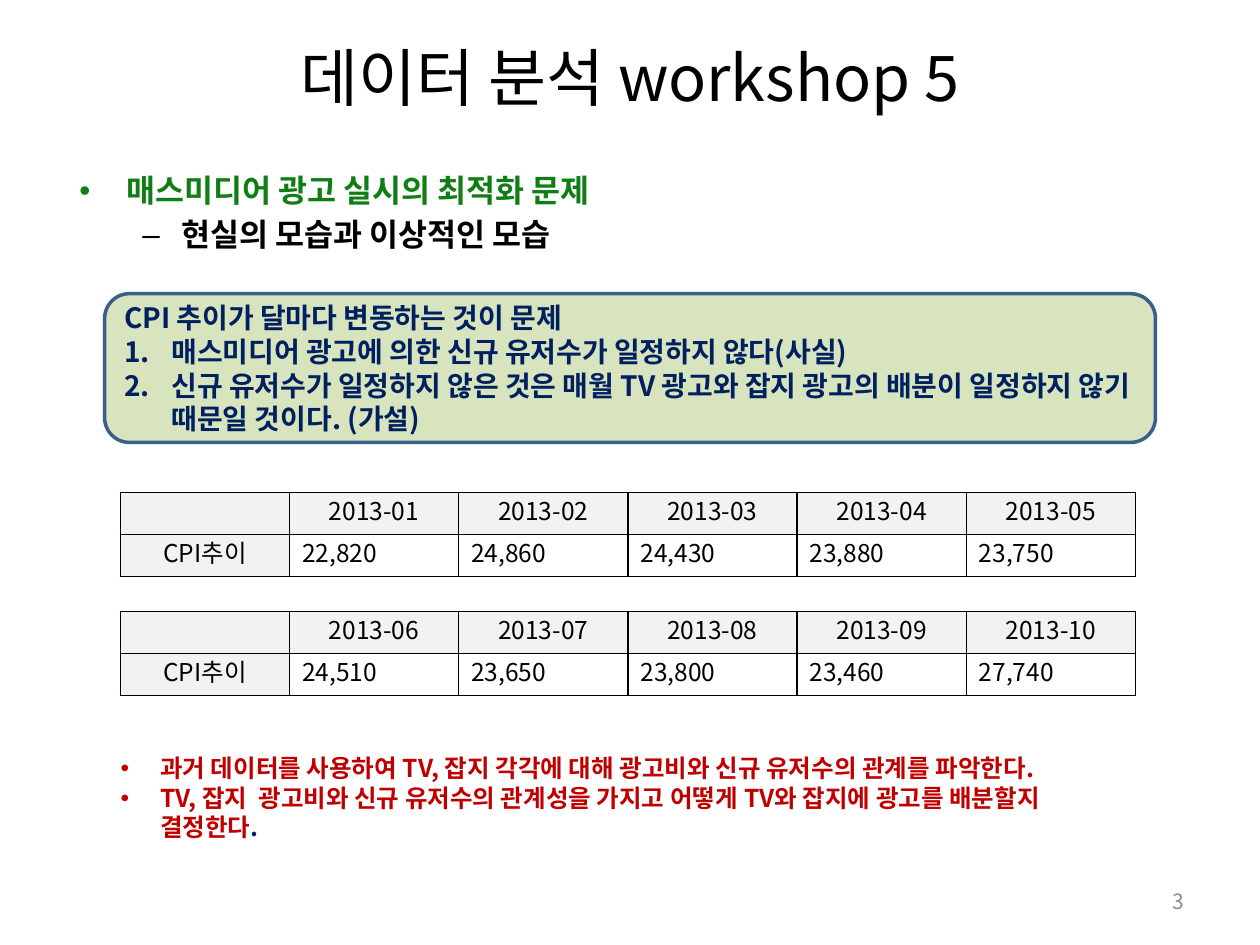
from pptx import Presentation
from pptx.dml.color import RGBColor
from pptx.enum.shapes import MSO_SHAPE
from pptx.enum.text import MSO_ANCHOR, PP_ALIGN
from pptx.oxml.xmlchemy import OxmlElement
from pptx.util import Pt

LEFT, CENTER, RIGHT = PP_ALIGN.LEFT, PP_ALIGN.CENTER, PP_ALIGN.RIGHT
MIDDLE, TOP = MSO_ANCHOR.MIDDLE, MSO_ANCHOR.TOP
FONT = "Noto Sans CJK KR"
HEX = {"black": "000000", "navy": "002060", "green": "107E15", "red": "C00000",
       "gray": "8C8C8C", "box": "D7E4BD", "edge": "3A5F8C", "head": "F2F2F2",
       "white": "FFFFFF"}

# Content: each paragraph is (runs, bullet, left indent, hang, level)
TITLE = "데이터 분석 workshop 5"
TOPIC = [
    ([("매스미디어 광고 실시의 최적화 문제", "green")], "•", 27, 27, 0),
    ([("현실의 모습과 이상적인 모습", "black")], "–", 58.5, 22.5, 1),
]
ISSUE = [
    ([("CPI 추이가 달마다 변동하는 것이 문제", "navy")], None, 0, 0, 0),
    ([("매스미디어 광고에 의한 신규 유저수가 일정하지 않다(사실)", "navy")],
     "1.", 27, 27, 0),
    ([("신규 유저수가 일정하지 않은 것은 매월 TV 광고와 잡지 광고의 배분이 "
       "일정하지 않기 때문일 것이다. (가설)", "navy")], "1.", 27, 27, 0),
]
PLAN = [
    ([("과거 데이터를 사용하여 TV, 잡지 각각에 대해 광고비와 신규 유저수의 "
       "관계를 파악한다.", "red")], "•", 22.5, 22.5, 0),
    ([("TV, 잡지  광고비와 신규 유저수의 관계성을 가지고 어떻게 TV와 잡지에 "
       "광고를 배분할지 결정한다", "red"), (".", "navy")], "•", 22.5, 22.5, 0),
]
PAGE = [([("3", "gray")], None, 0, 0, 0)]
CPI = [("22,820", "24,860", "24,430", "23,880", "23,750"),
       ("24,510", "23,650", "23,800", "23,460", "27,740")]


def color(name):
    return RGBColor.from_string(HEX[name])


def child(node, tag, **attrs):
    item = OxmlElement(tag)
    for key, val in attrs.items():
        item.set(key, str(val))
    node.append(item)
    return item


def add_run(para, text, size, tint, bold=False):
    run = para.add_run()
    run.text = text
    font = run.font
    font.name, font.size, font.bold = FONT, Pt(size), bold
    font.color.rgb = color(tint)
    child(font._element, "a:ea", typeface=FONT)


def write(frame, paras, size, bold=False, align=LEFT, anchor=TOP, gap=0):
    frame.word_wrap = True
    frame.vertical_anchor = anchor
    for i, (runs, mark, left, hang, level) in enumerate(paras):
        para = frame.add_paragraph() if i else frame.paragraphs[0]
        para.alignment, para.level = align, level
        para.line_spacing, para.space_before = Pt(size * 1.2), Pt(gap)
        if mark:
            props = para._p.get_or_add_pPr()
            props.set("marL", str(Pt(left)))
            props.set("indent", str(-Pt(hang)))
            if mark == "1.":
                child(props, "a:buFont", typeface="+mj-lt")
                child(props, "a:buAutoNum", type="arabicPeriod")
            else:
                child(props, "a:buFont", typeface="Arial")
                child(props, "a:buChar", char=mark)
        for text, tint in runs:
            add_run(para, text, size, tint, bold)


def add_text(x, y, w, h, paras, size, **style):
    box = slide.shapes.add_textbox(Pt(x), Pt(y), Pt(w), Pt(h))
    write(box.text_frame, paras, size, **style)


def add_edges(cell):
    props = cell._tc.get_or_add_tcPr()
    for i, side in enumerate(("a:lnL", "a:lnR", "a:lnT", "a:lnB")):
        line = OxmlElement(side)
        line.set("w", str(Pt(1)))
        child(child(line, "a:solidFill"), "a:srgbClr", val=HEX["black"])
        props.insert(i, line)


def add_grid(y, rows):
    grid = slide.shapes.add_table(2, 6, Pt(68.7), Pt(y), Pt(580.2), Pt(48)).table
    for col in grid.columns:
        col.width = Pt(96.7)
    for r, row in enumerate(rows):
        grid.rows[r].height = Pt(24)
        for c, text in enumerate(row):
            cell = grid.cell(r, c)
            head = r == 0 or c == 0
            cell.fill.solid()
            cell.fill.fore_color.rgb = color("head" if head else "white")
            cell.vertical_anchor = MIDDLE
            para = cell.text_frame.paragraphs[0]
            para.alignment = CENTER if head else LEFT
            para.line_spacing = Pt(16.8)
            if text:
                add_run(para, text, 14, "black")
            else:
                child(para._p, "a:endParaRPr", sz=1400)
            add_edges(cell)


deck = Presentation()
deck.slide_width, deck.slide_height = Pt(720), Pt(540)
slide = deck.slides.add_slide(deck.slide_layouts[5])

# Title
title = slide.shapes.title
title.left, title.top, title.width, title.height = Pt(36), Pt(21.6), Pt(648), Pt(44)
write(title.text_frame, [([(TITLE, "black")], None, 0, 0, 0)], 36,
      align=CENTER, anchor=MIDDLE)

# Problem box
box = slide.shapes.add_shape(MSO_SHAPE.ROUNDED_RECTANGLE,
                             Pt(59.8), Pt(167.8), Pt(600.5), Pt(85))
box.shadow.inherit = False
box.fill.solid()
box.fill.fore_color.rgb = color("box")
box.line.color.rgb = color("edge")
box.line.width = Pt(2)
write(box.text_frame, ISSUE, 16, bold=True, anchor=MIDDLE)

# Text blocks
add_text(38.2, 94.3, 613.4, 51, TOPIC, 18, bold=True, gap=3.6)
add_text(61.9, 427, 589.7, 58.3, PLAN, 14, bold=True)
add_text(516.2, 500.4, 167.8, 28.8, PAGE, 12, align=RIGHT, anchor=MIDDLE)

# Monthly tables, five months each
for t, nums in enumerate(CPI):
    months = [f"2013-{t * 5 + m:02d}" for m in range(1, 6)]
    add_grid(281.3 + 68 * t, [["", *months], ["CPI추이", *nums]])

deck.save("out.pptx")
